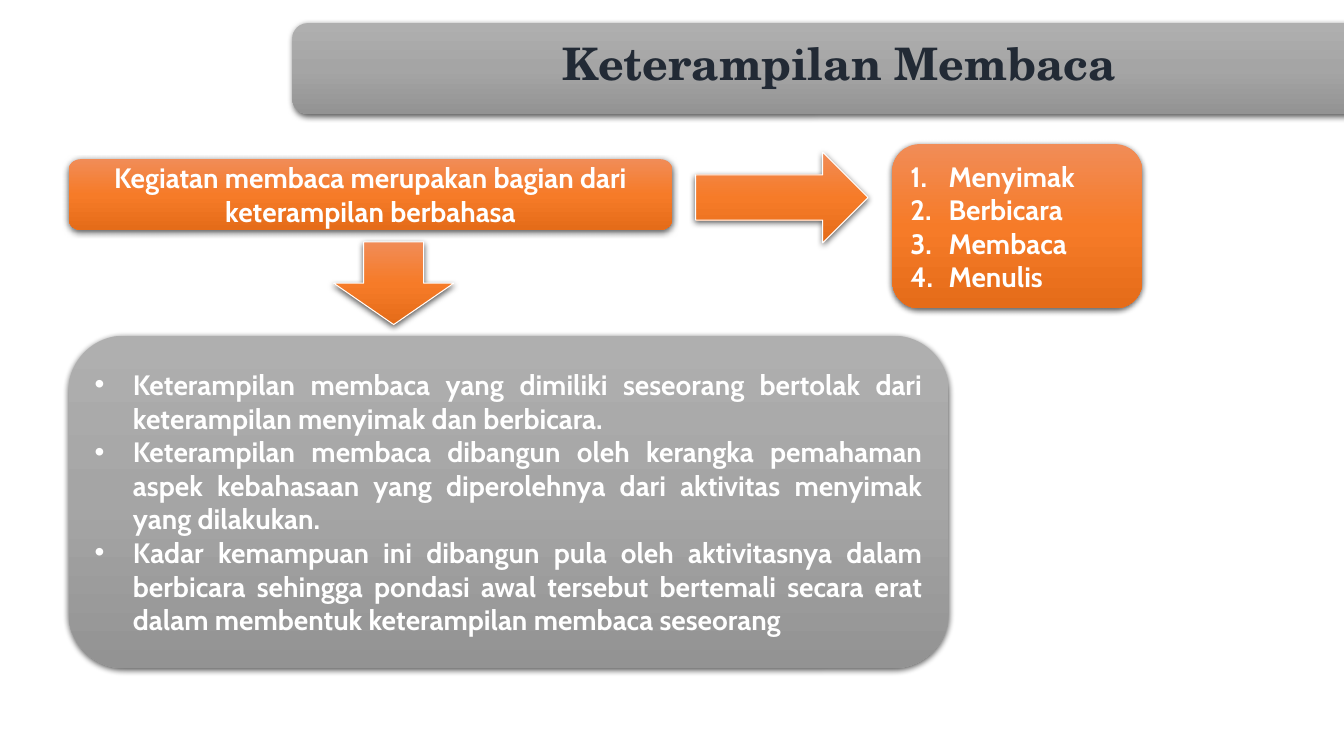
from copy import deepcopy

from lxml.etree import SubElement
from pptx import Presentation
from pptx.dml.color import RGBColor
from pptx.enum.shapes import MSO_SHAPE
from pptx.enum.text import MSO_ANCHOR, MSO_AUTO_SIZE, PP_ALIGN
from pptx.oxml.ns import qn
from pptx.util import Inches, Pt

GRAY = ("AFAFAF", "A5A5A5", "939393")
ORANGE = ("F18C57", "F67B28", "E56C19")
WHITE = "FFFFFF"
NAVY = "222A35"
SKILLS = ["Menyimak", "Berbicara", "Membaca", "Menulis"]
EXPLANATIONS = [
    "Keterampilan membaca yang dimiliki seseorang bertolak dari keterampilan "
    "menyimak dan berbicara.",
    "Keterampilan membaca dibangun oleh kerangka pemahaman aspek kebahasaan "
    "yang diperolehnya dari aktivitas menyimak yang dilakukan.",
    "Kadar kemampuan ini dibangun pula oleh aktivitasnya dalam berbicara "
    "sehingga pondasi awal tersebut bertemali secara erat dalam membentuk "
    "keterampilan membaca seseorang",
]


def rgb(value):
    return RGBColor.from_string(value)


def apply_gradient(fill, colors):
    fill.gradient()
    fill.gradient_angle = 270
    stops = fill._fill._gradFill.find(qn("a:gsLst"))
    stops.insert(1, deepcopy(stops[0]))
    for stop, color, position in zip(fill.gradient_stops, colors, (0, 0.5, 1)):
        stop.color.rgb = rgb(color)
        stop.position = position


def apply_shadow(shape):
    shape.shadow.inherit = False
    effects = shape._element.spPr.find(qn("a:effectLst"))
    shadow = SubElement(effects, qn("a:outerShdw"), blurRad=str(Pt(4.5)),
                        dist=str(Pt(1.5)), dir="5400000", algn="ctr", rotWithShape="0")
    color = SubElement(shadow, qn("a:srgbClr"), val="000000")
    SubElement(color, qn("a:alpha"), val="63000")


def add_block(slide, kind, box, colors, outline=None):
    block = slide.shapes.add_shape(kind, *map(Inches, box))
    apply_gradient(block.fill, colors)
    if outline:
        block.line.color.rgb = rgb(outline)
        block.line.width = Pt(0.75)
    else:
        block.line.fill.background()
    apply_shadow(block)
    return block


def format_paragraph(paragraph, align, font, size, color):
    paragraph.alignment = align
    for run in paragraph.runs:
        run.font.name = font
        run.font.size = Pt(size)
        run.font.bold = True
        run.font.color.rgb = rgb(color)


def add_marker(paragraph, tag, **attributes):
    properties = paragraph._p.get_or_add_pPr()
    properties.set("marL", str(Inches(0.38)))
    properties.set("indent", str(-Inches(0.38)))
    SubElement(properties, qn("a:buFont"), typeface="Arial" if tag == "a:buChar" else "+mj-lt")
    SubElement(properties, qn(tag), **attributes)


def add_panel(slide, box, colors, lines, align, marker=None):
    panel = add_block(slide, MSO_SHAPE.ROUNDED_RECTANGLE, box, colors)
    frame = panel.text_frame
    frame.word_wrap = True
    frame.vertical_anchor = MSO_ANCHOR.MIDDLE
    frame.text = "\n".join(lines)
    for paragraph in frame.paragraphs:
        if marker:
            add_marker(paragraph, **marker)
        format_paragraph(paragraph, align, "Cabin", 20, WHITE)


def add_title_banner(slide, box):
    add_block(slide, MSO_SHAPE.ROUNDED_RECTANGLE, box, GRAY)
    left, top, width, height = box
    inset = 0.04
    title = slide.shapes.title
    title.left, title.top = Inches(left + inset), Inches(top + inset)
    title.width, title.height = Inches(width - 2 * inset), Inches(height - 2 * inset)
    slide.shapes._spTree.append(title._element)
    frame = title.text_frame
    frame.text = "Keterampilan Membaca"
    frame.word_wrap = True
    frame.auto_size = MSO_AUTO_SIZE.NONE
    frame.vertical_anchor = MSO_ANCHOR.TOP
    heading = frame.paragraphs[0]
    heading.line_spacing = 1.07
    heading.space_after = Pt(8)
    format_paragraph(heading, PP_ALIGN.CENTER, "TeX Gyre Schola", 32, NAVY)


def build_reading_slide(slide):
    add_title_banner(slide, (2.9, 0.23, 10.86, 0.9))
    add_panel(slide, (0.68, 3.33, 8.73, 3.3), GRAY, EXPLANATIONS,
              PP_ALIGN.JUSTIFY, {"tag": "a:buChar", "char": "•"})
    add_panel(slide, (0.68, 1.58, 5.99, 0.7), ORANGE,
              ["Kegiatan membaca merupakan bagian dari keterampilan berbahasa"],
              PP_ALIGN.CENTER)
    add_panel(slide, (8.85, 1.43, 2.48, 1.63), ORANGE, SKILLS,
              PP_ALIGN.LEFT, {"tag": "a:buAutoNum", "type": "arabicPeriod"})
    add_block(slide, MSO_SHAPE.RIGHT_ARROW, (6.9, 1.51, 1.71, 0.9), ORANGE, WHITE)
    add_block(slide, MSO_SHAPE.DOWN_ARROW, (3.31, 2.4, 1.19, 0.82), ORANGE, WHITE)


def main():
    presentation = Presentation()
    presentation.slide_width = Inches(13.33)
    presentation.slide_height = Inches(7.5)
    title_only = presentation.slide_layouts[5]
    build_reading_slide(presentation.slides.add_slide(title_only))
    presentation.save("out.pptx")


if __name__ == "__main__":
    main()
